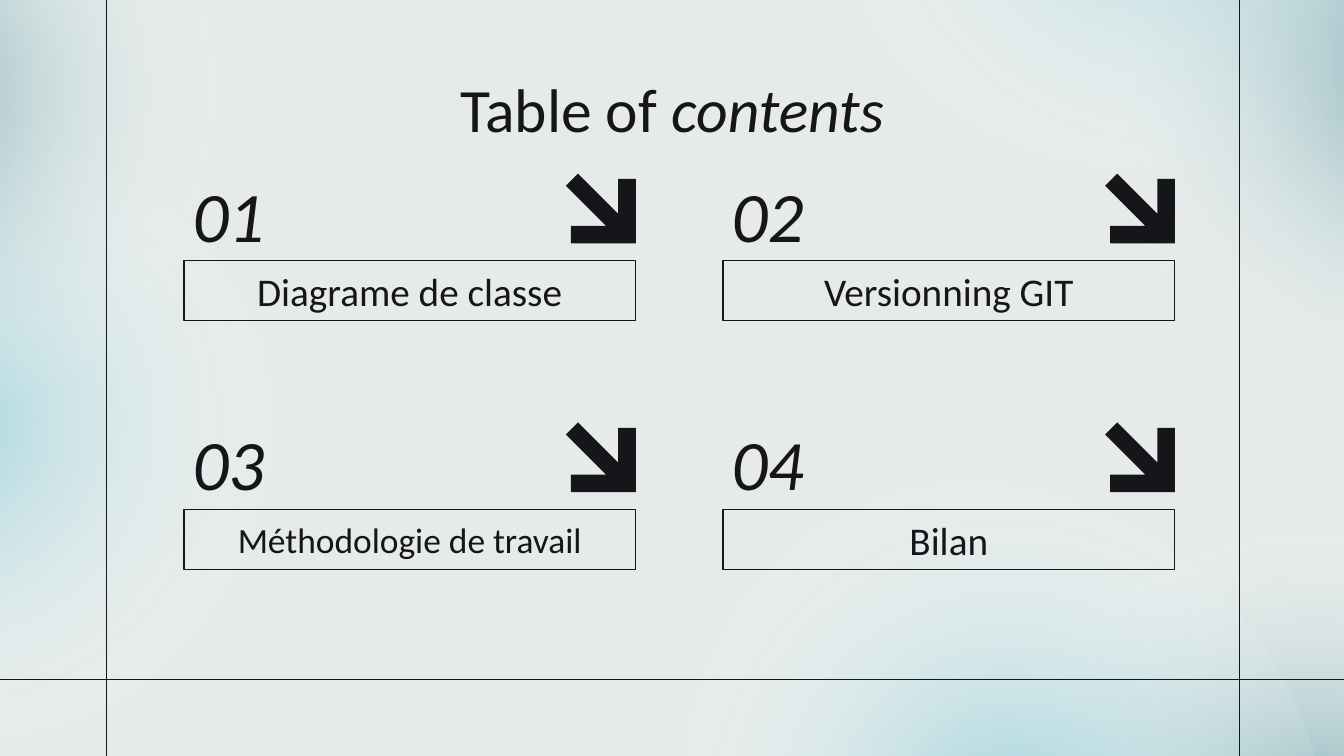
from lxml import etree
from pptx import Presentation
from pptx.dml.color import RGBColor
from pptx.enum.shapes import MSO_CONNECTOR, MSO_SHAPE
from pptx.enum.text import MSO_ANCHOR, MSO_AUTO_SIZE, PP_ALIGN
from pptx.oxml import parse_xml
from pptx.oxml.ns import nsdecls, qn
from pptx.util import Pt

LINE = MSO_CONNECTOR.STRAIGHT
OVAL, RECT = MSO_SHAPE.OVAL, MSO_SHAPE.RECTANGLE
MIDDLE, CENTER, NO_FIT = MSO_ANCHOR.MIDDLE, PP_ALIGN.CENTER, MSO_AUTO_SIZE.NONE

INK = RGBColor(0x16, 0x15, 0x19)
PALE = RGBColor(0xE6, 0xEB, 0xE9)
AQUA = RGBColor(0x80, 0xC8, 0xD8)
TEAL = RGBColor(0x4E, 0x90, 0x9E)
WHITE = RGBColor(0xFF, 0xFF, 0xFF)
FONT = "Calibri"
WIDTH, HEIGHT = 720, 405


def add_text(sp, text, size=21, italic=False):
    """Append a run to the shape's centred first paragraph."""
    tf = sp.text_frame
    tf.word_wrap, tf.auto_size, tf.vertical_anchor = True, NO_FIT, MIDDLE
    tf.margin_left = tf.margin_right = tf.margin_top = tf.margin_bottom = Pt(7.2)
    p = tf.paragraphs[0]
    p.alignment = CENTER
    r = p.add_run()
    r.text = text
    r.font.name, r.font.size, r.font.italic = FONT, Pt(size), italic
    r.font.color.rgb = INK


def radial_fill(color, opacity):
    """Circular gradient that fades from the colour to clear white."""
    stops = "".join(
        f'<a:gs pos="{pos * 1000}"><a:srgbClr val="{c}">'
        f'<a:alpha val="{alpha * 1000}"/></a:srgbClr></a:gs>'
        for pos, c, alpha in [(0, color, opacity), (58, WHITE, 0), (100, WHITE, 0)])
    return parse_xml(
        f'<a:gradFill {nsdecls("a")}><a:gsLst>{stops}</a:gsLst><a:path path="circle">'
        '<a:fillToRect l="50000" t="50000" r="50000" b="50000"/></a:path></a:gradFill>')


prs = Presentation()
prs.slide_width, prs.slide_height = Pt(WIDTH), Pt(HEIGHT)
s = prs.slides.add_slide(prs.slide_layouts[5])
s.background.fill.solid()
s.background.fill.fore_color.rgb = PALE

# Soft glows: left, top, rotation, mirrored, colour, opacity
glows = [
    (517, 298, 237.1, True, TEAL, 81),
    (352, 274.3, 237.1, True, AQUA, 68),
    (-221.8, 60.5, 202, False, AQUA, 68),
    (-250.6, -117.4, 202, False, TEAL, 68),
    (441.4, -247.7, 149, True, AQUA, 68),
    (583.9, -131.8, 149, True, TEAL, 68),
]
for left, top, angle, mirrored, color, opacity in glows:
    sp = s.shapes.add_shape(OVAL, Pt(left), Pt(top), Pt(375.8), Pt(331.2))
    sp.shadow.inherit = False
    sp.line.fill.background()
    sp.rotation = angle
    spPr = sp.element.spPr
    if mirrored:
        spPr.xfrm.set("flipH", "1")
    spPr.find(qn("a:prstGeom")).addnext(radial_fill(color, opacity))

# Frame lines
for x1, y1, x2, y2 in [(664, 0, 664, HEIGHT), (57, 0, 57, HEIGHT), (0, 364.2, WIDTH, 364.2)]:
    line = s.shapes.add_connector(LINE, Pt(x1), Pt(y1), Pt(x2), Pt(y2))
    line.line.color.rgb, line.line.width = INK, Pt(0.75)
    etree.SubElement(line.element.spPr, qn("a:effectLst"))

# Title, brought in front of the glows
title = s.shapes.title
title.left, title.top, title.width, title.height = Pt(56.2), Pt(35.3), Pt(607.7), Pt(45.4)
add_text(title, "Table of ", size=33)
add_text(title, "contents", size=33, italic=True)
s.shapes.element.append(title.element)

# Contents grid: number, arrow and boxed heading in each cell
COL_STEP, ROW_STEP = 288.8, 133.3
ARROW = [(6.5, 0), (0, 6.5), (21.5, 28), (2.7, 28), (2.7, 37.4),
         (37.4, 37.4), (37.4, 2.9), (28, 2.9), (28, 21.5)]
entries = [("Diagrame de classe", 21), ("Versionning GIT", 21),
           ("Méthodologie de travail", 19), ("Bilan", 21)]
for i, (heading, size) in enumerate(entries):
    row, col = divmod(i, 2)
    x, y = 98.5 + col * COL_STEP, 139.6 + row * ROW_STEP

    box = s.shapes.add_shape(RECT, Pt(x), Pt(y), Pt(242), Pt(32.2))
    box.shadow.inherit = False
    box.fill.background()
    box.line.color.rgb, box.line.width = INK, Pt(0.75)
    add_text(box, heading, size=size)

    number = s.shapes.add_textbox(Pt(x - 7.8), Pt(y - 50), Pt(63.4), Pt(49.7))
    add_text(number, f"{i + 1:02}", size=38, italic=True)

    points = [(Pt(x + 204.7 + dx), Pt(y - 46.6 + dy)) for dx, dy in ARROW]
    outline = s.shapes.build_freeform(*points[0])
    outline.add_line_segments(points[1:], close=True)
    arrow = outline.convert_to_shape()
    arrow.shadow.inherit = False
    arrow.fill.solid()
    arrow.fill.fore_color.rgb = INK
    arrow.line.fill.background()

prs.save("out.pptx")
